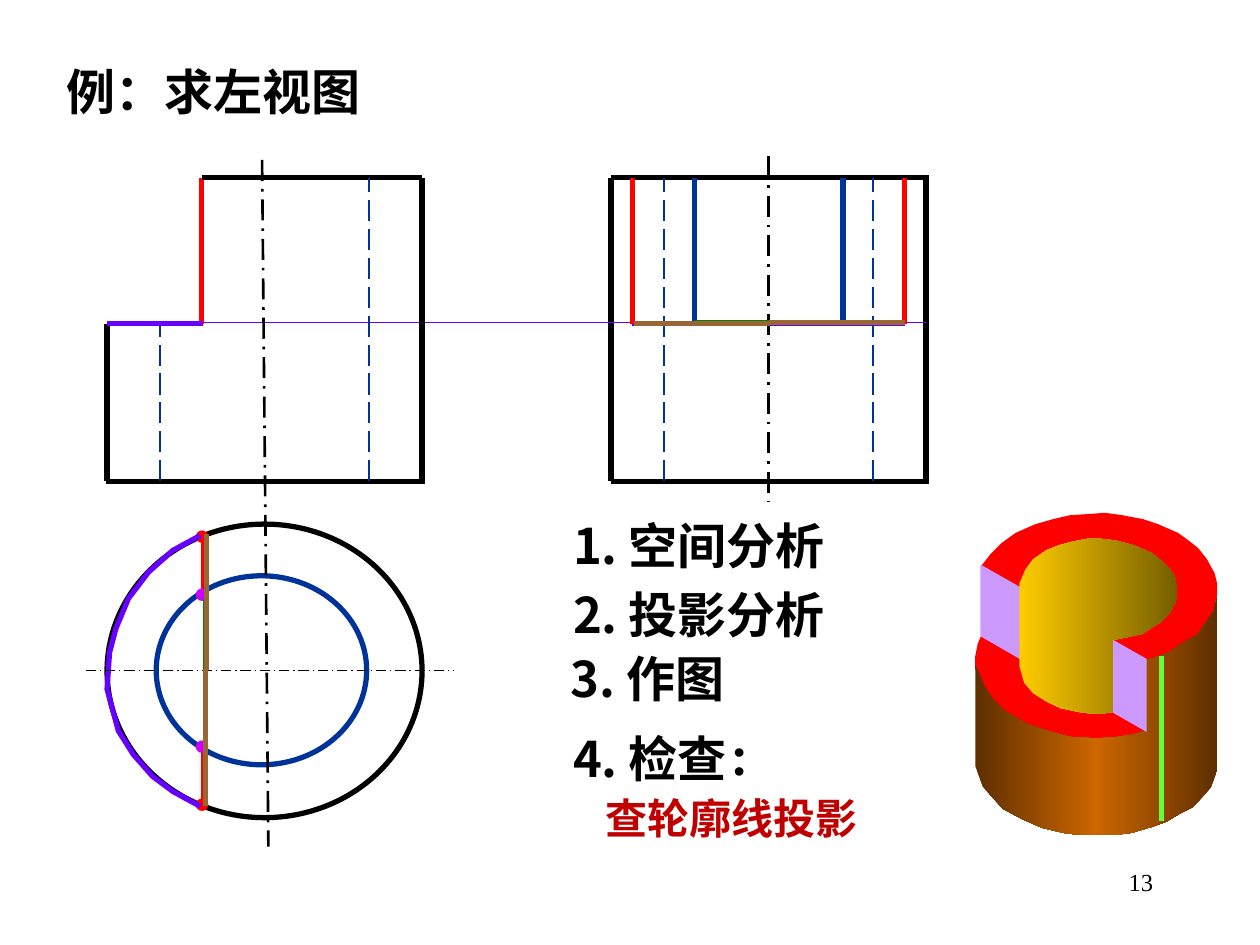
import copy

import pptx
import pptx.dml.color
import pptx.enum.dml
import pptx.enum.shapes
import pptx.enum.text
import pptx.oxml.ns
import pptx.util

BLACK, WHITE, RED, BLUE = "000000", "FFFFFF", "FF0000", "003399"
PURPLE, GREEN, BROWN, LILAC = "6600FF", "008000", "996633", "CC99FF"
SANS, SERIF = "Noto Sans CJK SC", "Times New Roman"
DASH = pptx.enum.dml.MSO_LINE.LONG_DASH
DASH_DOT = pptx.enum.dml.MSO_LINE.LONG_DASH_DOT
ALIGN = pptx.enum.text.PP_ALIGN
ANCHOR = pptx.enum.text.MSO_ANCHOR

TOP, STEP, BOTTOM = 1.41, 2.57, 3.82
SIDE_AXIS = 6.1

ARC = [(1.59, 4.25), (1.37, 4.37), (1.18, 4.54), (1.02, 4.75), (0.92, 4.99),
       (0.87, 5.18), (0.85, 5.47), (0.94, 5.8), (1.06, 5.99), (1.21, 6.16),
       (1.37, 6.28), (1.59, 6.4)]
UPPER_FACE = [(7.79, 4.49), (7.86, 4.4), (7.95, 4.31), (8.06, 4.23), (8.22, 4.16),
              (8.36, 4.12), (8.49, 4.09), (8.64, 4.08), (8.77, 4.07), (8.91, 4.09),
              (9.07, 4.12), (9.19, 4.16), (9.35, 4.23), (9.42, 4.28), (9.51, 4.35),
              (9.58, 4.44), (9.64, 4.55), (9.66, 4.63), (9.66, 4.72), (9.61, 4.94),
              (9.49, 5.1), (9.36, 5.17), (9.2, 5.27), (9.1, 5.24), (8.72, 5.15)]
LOWER_FACE = [(7.79, 5.04), (7.76, 5.11), (7.74, 5.21), (7.74, 5.31), (7.8, 5.46),
              (7.88, 5.56), (7.94, 5.62), (8.02, 5.71), (8.16, 5.79), (8.36, 5.86),
              (8.48, 5.88), (8.69, 5.9), (8.86, 5.89), (9.01, 5.86), (9.1, 5.8),
              (8.97, 5.61), (8.83, 5.58), (8.7, 5.53), (8.78, 5.45), (8.67, 5.39),
              (8.46, 5.21), (8.31, 5.25), (8.2, 5.2), (8.18, 5.1), (8.18, 5.16),
              (8.07, 5.19)]
OUTER_WALL = [(7.74, 5.28), (7.74, 6.08), (7.8, 6.24), (7.86, 6.31), (7.96, 6.42),
              (8.11, 6.5), (8.27, 6.57), (8.44, 6.61), (8.6, 6.63), (8.82, 6.63),
              (8.98, 6.61), (9.15, 6.56), (9.26, 6.52), (9.36, 6.46), (9.46, 6.41),
              (9.52, 6.35), (9.61, 6.25), (9.66, 6.12), (9.66, 6), (9.66, 4.71),
              (9.63, 4.85), (9.57, 4.94), (9.5, 5.04), (9.39, 5.1), (9.29, 5.17),
              (9.19, 5.21), (9.09, 5.24), (9.09, 5.8), (8.99, 5.83), (8.86, 5.85),
              (8.71, 5.86), (8.5, 5.85), (8.31, 5.8), (8.14, 5.74), (7.97, 5.64),
              (7.88, 5.55), (7.81, 5.44), (7.77, 5.34)]
CUT_FACE = [(7.78, 4.48), (9.1, 5.23), (9.1, 5.81), (7.78, 5.05)]
INNER_WALL = [(8.09, 4.63), (8.09, 5.29), (8.13, 5.42), (8.2, 5.5), (8.31, 5.57),
              (8.42, 5.62), (8.56, 5.65), (8.71, 5.67), (8.83, 5.65), (8.83, 5.08),
              (8.93, 5.06), (9.07, 5.03), (9.14, 4.98), (9.21, 4.94), (9.28, 4.87),
              (9.34, 4.76), (9.34, 4.63), (9.31, 4.55), (9.25, 4.48), (9.14, 4.39),
              (9, 4.33), (8.85, 4.29), (8.67, 4.27), (8.51, 4.3), (8.4, 4.33),
              (8.3, 4.37), (8.2, 4.44), (8.14, 4.52)]


def inches(value):
    return pptx.util.Cm(value * 2.54)


def rgb(color):
    return pptx.dml.color.RGBColor.from_string(color)


def add_line(slide, start, end, color, width=3, dash=None):
    line = slide.shapes.add_connector(
        pptx.enum.shapes.MSO_CONNECTOR.STRAIGHT, *map(inches, (*start, *end)))
    line.line.color.rgb = rgb(color)
    line.line.width = pptx.util.Pt(width)
    if dash:
        line.line.dash_style = dash
    properties = line._element.spPr
    properties.append(properties.makeelement(pptx.oxml.ns.qn("a:effectLst"), {}))


def fill_shape(shape, colors):
    if not colors:
        shape.fill.background()
    elif len(colors) == 1:
        shape.fill.solid()
        shape.fill.fore_color.rgb = rgb(colors[0])
    else:
        shape.fill.gradient()
        shape.fill.gradient_angle = 0
        stop_list = shape._element.spPr.xpath("./a:gradFill/a:gsLst")[0]
        for _ in colors[2:]:
            stop_list.append(copy.deepcopy(stop_list[0]))
        for index, stop in enumerate(shape.fill.gradient_stops):
            stop.color.rgb = rgb(colors[index])
            stop.position = index / (len(colors) - 1)


def style_shape(shape, colors, line_color):
    shape.shadow.inherit = False
    fill_shape(shape, colors)
    if line_color:
        shape.line.color.rgb = rgb(line_color)
        shape.line.width = pptx.util.Pt(3)
    else:
        shape.line.fill.background()


def add_ellipse(slide, box, line_color, *colors):
    shape = slide.shapes.add_shape(
        pptx.enum.shapes.MSO_SHAPE.OVAL, *map(inches, box))
    style_shape(shape, colors, line_color)


def add_outline(slide, points, *colors, line_color=None):
    points = [tuple(map(inches, point)) for point in points]
    builder = slide.shapes.build_freeform(*points[0])
    builder.add_line_segments(points[1:], close=bool(colors))
    style_shape(builder.convert_to_shape(), colors, line_color)


def add_run(paragraph, text, size=28, color=BLACK, font=SANS, bold=True):
    run = paragraph.add_run()
    run.text = text
    run.font.size = pptx.util.Pt(size)
    run.font.bold = bold
    run.font.color.rgb = rgb(color)
    run.font.name = font
    properties = run.font._element
    east_asian = properties.makeelement(
        pptx.oxml.ns.qn("a:ea"), {"typeface": font})
    properties.find(pptx.oxml.ns.qn("a:latin")).addnext(east_asian)


def prepare_text(shape, align=ALIGN.LEFT, anchor=ANCHOR.TOP, wrap=True):
    frame = shape.text_frame
    frame.word_wrap = wrap
    frame.auto_size = pptx.enum.text.MSO_AUTO_SIZE.NONE
    frame.vertical_anchor = anchor
    frame.paragraphs[0].alignment = align
    return frame.paragraphs[0]


def add_text(slide, box, **layout):
    return prepare_text(slide.shapes.add_textbox(*map(inches, box)), **layout)


def add_title(slide, text):
    title = slide.shapes.title
    title.left, title.top, title.width, title.height = map(
        inches, (0.43, 0.44, 3.45, 0.57))
    add_run(prepare_text(title), text)


def add_dots(slide, tops, color):
    for top in tops:
        paragraph = add_text(slide, (1.46, top, 0.29, 0.24), align=ALIGN.CENTER,
                             anchor=ANCHOR.MIDDLE, wrap=False)
        add_run(paragraph, "●", 8, color)


def add_mirrored_lines(slide, offset, top, bottom, color, width, dash=None):
    for x in (SIDE_AXIS - offset, SIDE_AXIS + offset):
        add_line(slide, (x, bottom), (x, top), color, width, dash)


def add_side_view(slide):
    add_line(slide, (5.02, STEP), (7.18, STEP), PURPLE)
    for width in (1, 3):
        for y in (TOP, BOTTOM):
            add_line(slide, (4.85, y), (7.37, y), BLACK, width)
        add_mirrored_lines(slide, 1.25, TOP, BOTTOM, BLACK, width)
    add_line(slide, (1.6, 2.56), (7.35, 2.56), PURPLE, 0.75)
    add_line(slide, (SIDE_AXIS, 1.24), (SIDE_AXIS, 3.98), BLACK, 1.5, DASH_DOT)
    add_mirrored_lines(slide, 1.08, TOP, STEP, RED, 3)
    add_mirrored_lines(slide, 0.83, TOP, BOTTOM, BLUE, 1.5, DASH)
    add_mirrored_lines(slide, 0.59, TOP, STEP, BLUE, 3)


def add_front_view(slide):
    add_line(slide, (0.84, BOTTOM), (3.37, BOTTOM), BLACK)
    add_line(slide, (3.35, TOP), (3.35, 3.84), BLACK)
    add_line(slide, (1.6, TOP), (1.6, STEP), RED)
    add_line(slide, (0.85, STEP), (0.85, BOTTOM), BLACK)
    add_line(slide, (1.6, TOP), (3.35, TOP), BLACK)
    for x, top in ((1.27, STEP), (2.93, TOP)):
        add_line(slide, (x, BOTTOM), (x, top), BLUE, 1.5, DASH)
    add_line(slide, (1.61, STEP), (0.85, STEP), PURPLE)


def add_top_view(slide):
    add_ellipse(slide, (0.85, 4.16, 2.5, 2.33), BLACK)
    add_dots(slide, (6.27, 4.14), RED)
    add_outline(slide, ARC, line_color=PURPLE)
    add_line(slide, (1.62, 4.28), (1.62, 6.42), RED)
    add_ellipse(slide, (1.24, 4.57, 1.67, 1.5), BLUE, WHITE)
    add_line(slide, (2.08, 1.27), (2.13, 6.72), BLACK, 1.5, DASH_DOT)
    add_line(slide, (0.68, 5.32), (3.6, 5.32), BLACK, 0.75, DASH_DOT)
    add_dots(slide, (4.6, 5.81), "CC00FF")


def add_cut_edges(slide):
    for start, end, color in (
            ((1.63, 4.75), (1.63, 5.35), GREEN), ((5.52, 2.56), (6.11, 2.56), GREEN),
            ((5.03, 2.57), (6.11, 2.57), BROWN), ((1.64, 4.24), (1.64, 5.32), BROWN),
            ((6.71, 2.56), (6.11, 2.56), GREEN), ((1.63, 5.36), (1.63, 5.96), GREEN),
            ((6.1, 2.56), (7.18, 2.56), BROWN), ((1.63, 5.31), (1.63, 6.4), BROWN)):
        add_line(slide, start, end, color)


def add_solid(slide):
    add_outline(slide, UPPER_FACE, RED)
    add_outline(slide, LOWER_FACE, RED)
    add_outline(slide, OUTER_WALL, "5E2F00", "CC6600", "5E2F00")
    add_outline(slide, CUT_FACE, LILAC)
    add_outline(slide, INNER_WALL, "FFCC00", "765E00")
    add_line(slide, (9.22, 5.21), (9.22, 6.52), "66FF33")


def add_steps(slide):
    for text, box, spacing in (("1. 空间分析", (4.45, 3.95, 3.27, 0.66), 1.2),
                               ("2. 投影分析", (4.45, 4.5, 3.27, 0.66), 1.2),
                               ("3. 作图", (4.43, 5.1, 3.31, 0.57), 1)):
        paragraph = add_text(slide, box)
        paragraph.line_spacing = spacing
        add_run(paragraph, text)
    shape = slide.shapes.add_textbox(*map(inches, (4.45, 5.73, 3.51, 1.08)))
    paragraph = prepare_text(shape)
    add_run(paragraph, "4. 检查")
    add_run(paragraph, "：", font=SERIF)
    check = shape.text_frame.add_paragraph()
    check._p.get_or_add_pPr().set("indent", str(inches(0.26)))
    check.space_before = pptx.util.Pt(3)
    add_run(check, "查轮廓线投影", 24, "C00000")


def main():
    presentation = pptx.Presentation()
    presentation.slide_width = inches(10)
    presentation.slide_height = inches(7.5)
    slide = presentation.slides.add_slide(presentation.slide_layouts[5])
    add_title(slide, "例：求左视图")
    number = add_text(slide, (7.17, 6.83, 2.08, 0.5), align=ALIGN.RIGHT)
    add_run(number, "13", 14, font=SERIF, bold=False)
    add_side_view(slide)
    add_front_view(slide)
    add_top_view(slide)
    add_cut_edges(slide)
    add_solid(slide)
    add_steps(slide)
    presentation.save("out.pptx")


if __name__ == "__main__":
    main()
